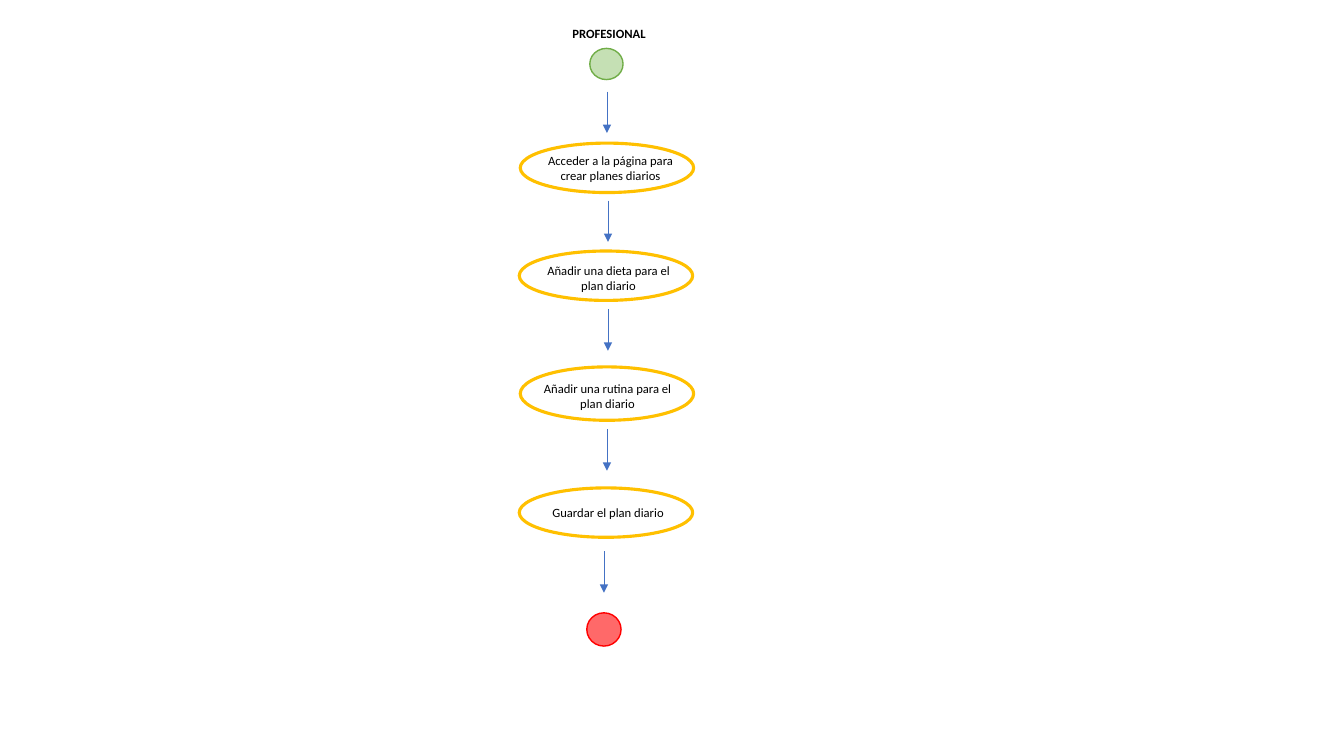
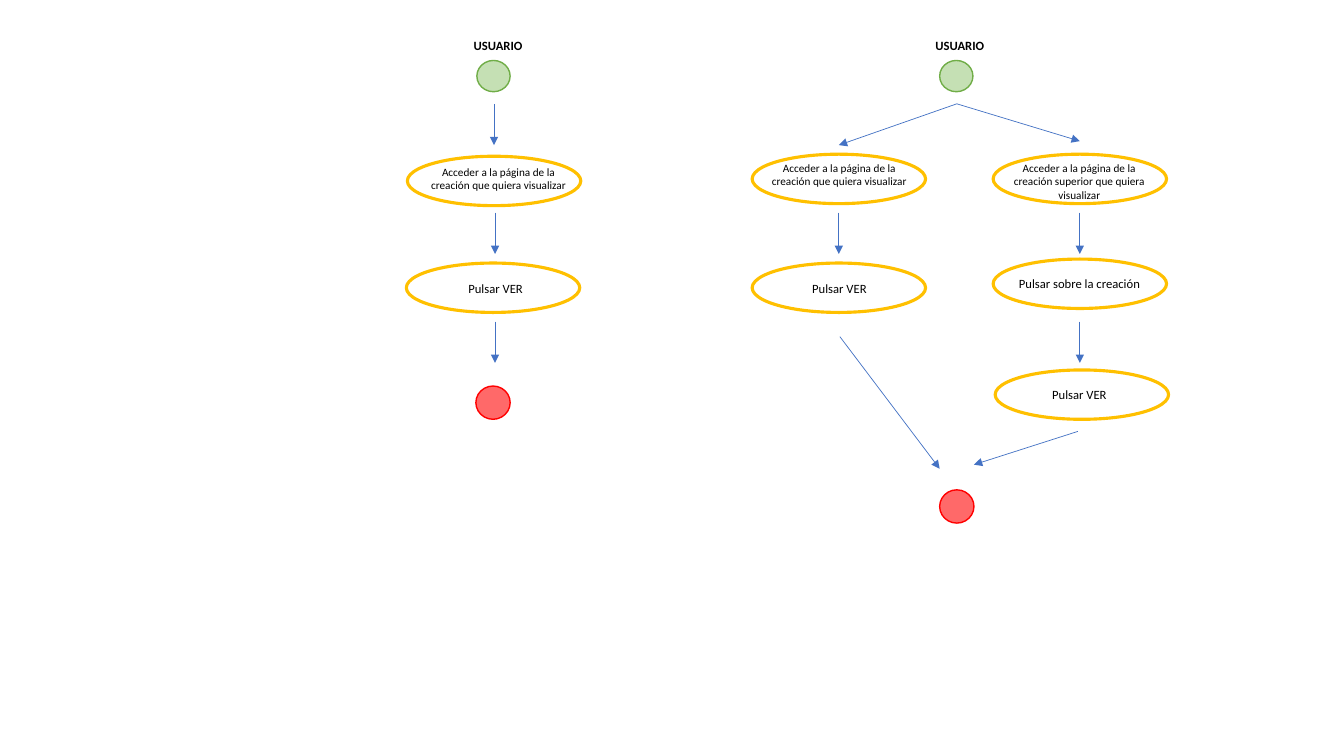
from dataclasses import dataclass

from lxml import etree
from pptx import Presentation
from pptx.dml.color import RGBColor
from pptx.enum.shapes import MSO_CONNECTOR, MSO_SHAPE
from pptx.enum.text import MSO_AUTO_SIZE, PP_ALIGN
from pptx.oxml.ns import qn
from pptx.util import Inches, Pt

STRAIGHT = MSO_CONNECTOR.STRAIGHT
OVAL = MSO_SHAPE.OVAL
GROW = MSO_AUTO_SIZE.SHAPE_TO_FIT_TEXT
LEFT, CENTER = PP_ALIGN.LEFT, PP_ALIGN.CENTER

BLACK = RGBColor(0x00, 0x00, 0x00)
GOLD = RGBColor(0xFF, 0xC0, 0x00)
BLUE = RGBColor(0x44, 0x72, 0xC4)
GREEN = RGBColor(0x70, 0xAD, 0x47)
PALE_GREEN = RGBColor(0xC5, 0xE0, 0xB4)
RED = RGBColor(0xFF, 0x00, 0x00)
PALE_RED = RGBColor(0xFF, 0x69, 0x69)

FONT = "Calibri"
STEP_WIDTH, STEP_HEIGHT = 1.72, 0.49
LABEL_WIDTH = 1.61
HEADING_WIDTH = 1.23
ARROW_LENGTH = 0.41
START_TOP = 0.27


@dataclass
class Step:
    label: str
    left: float
    top: float
    label_left: float
    label_top: float
    lines: int = 1
    size: int = 9
    height: float = STEP_HEIGHT
    label_width: float = LABEL_WIDTH


def add_oval(shapes, left, top, width, height, line, weight, fill=None):
    oval = shapes.add_shape(OVAL, Inches(left), Inches(top), Inches(width), Inches(height))
    oval.shadow.inherit = False
    if fill is None:
        oval.fill.background()
    else:
        oval.fill.solid()
        oval.fill.fore_color.rgb = fill
    oval.line.color.rgb = line
    oval.line.width = Pt(weight)


def add_label(shapes, text, left, top, width, lines=1, size=9, bold=False, align=CENTER):
    height = 0.1 + lines * size * 1.22 / 72
    box = shapes.add_textbox(Inches(left), Inches(top), Inches(width), Inches(height))
    frame = box.text_frame
    frame.word_wrap = True
    frame.auto_size = GROW
    paragraph = frame.paragraphs[0]
    paragraph.alignment = align
    run = paragraph.add_run()
    run.text = text
    run.font.color.rgb = BLACK
    for name, value in {"name": FONT, "size": Pt(size), "bold": bold}.items():
        setattr(run.font, name, value)


def add_arrow(shapes, x1, y1, x2, y2):
    arrow = shapes.add_connector(STRAIGHT, Inches(x1), Inches(y1), Inches(x2), Inches(y2))
    arrow.line.color.rgb = BLUE
    arrow.line.width = Pt(0.5)
    properties = arrow._element.spPr
    etree.SubElement(properties.find(qn("a:ln")), qn("a:tailEnd"), type="triangle")
    etree.SubElement(properties, qn("a:effectLst"))


def add_step(shapes, left, top, step):
    step_left, step_top = left + step.left, top + step.top
    add_oval(shapes, step_left, step_top, STEP_WIDTH, step.height, GOLD, 2.25)
    add_label(shapes, step.label, step_left + step.label_left, step_top + step.label_top,
              step.label_width, step.lines, step.size)


def down(x, y):
    return x, y, x, y + ARROW_LENGTH


def add_flow(slide, left, top, heading, heading_left, start_left, steps, arrows, end):
    shapes = slide.shapes.add_group_shape().shapes
    add_label(shapes, heading, left + heading_left, top, HEADING_WIDTH, bold=True, align=LEFT)
    add_oval(shapes, left + start_left, top + START_TOP, 0.33, 0.31, GREEN, 1, PALE_GREEN)
    for step in steps:
        add_step(shapes, left, top, step)
    for x1, y1, x2, y2 in arrows:
        add_arrow(shapes, left + x1, top + y1, left + x2, top + y2)
    end_left, end_top = end
    add_oval(shapes, left + end_left, top + end_top, 0.34, 0.33, RED, 1, PALE_RED)


def add_plan_slide(slide):
    steps = [
        Step("Acceder a la página para crear planes diarios", 0.01, 1.21, 0.09, 0.05, lines=2),
        Step("Añadir una dieta para el plan diario", 0, 2.28, 0.08, 0.07, lines=2),
        Step("Añadir una rutina para el plan diario", 0.01, 3.43, 0.06, 0.09, lines=2, height=0.53),
        Step("Guardar el plan diario", 0, 4.63, 0.02, 0.12, label_width=STEP_WIDTH),
    ]
    arrows = FIRST_ARROWS + [down(0.87, 4.05), down(0.84, 5.26)]
    add_flow(slide, 5.15, 0.21, "PROFESIONAL", 0.43, 0.7, steps, arrows, (0.67, 5.87))


def add_view_slide(slide):
    direct_steps = [
        Step(OPEN_PAGE, 0.01, 1.22, 0.1, 0.04, lines=2, size=8),
        Step(PRESS_VIEW, 0, 2.28, 0.08, 0.13),
    ]
    add_flow(slide, 4.03, 0.33, "USUARIO", 0.57, 0.7, direct_steps, FIRST_ARROWS, (0.69, 3.5))

    branch_steps = [
        Step(OPEN_PAGE, 0, 1.2, 0.06, 0.02, lines=2, size=8),
        Step(PRESS_VIEW, 0, 2.28, 0.06, 0.13),
        Step("Acceder a la página de la creación superior que quiera visualizar",
             2.39, 1.2, 0.05, 0.02, lines=3, size=8),
        Step("Pulsar sobre la creación", 2.39, 2.24, 0.05, 0.12),
        Step(PRESS_VIEW, 2.41, 3.34, 0.03, 0.12),
    ]
    branch_arrows = [
        (2.03, 0.7, 0.86, 1.11),
        (2.03, 0.7, 3.25, 1.07),
        down(0.86, 1.78),
        down(3.25, 1.78),
        down(3.25, 2.86),
        (0.87, 3.01, 1.86, 4.32),
        (3.23, 3.95, 2.2, 4.28),
    ]
    add_flow(slide, 7.46, 0.33, "USUARIO", 1.72, 1.86, branch_steps, branch_arrows, (1.86, 4.53))


OPEN_PAGE = "Acceder a la página de la creación que quiera visualizar"
PRESS_VIEW = "Pulsar VER"
FIRST_ARROWS = [down(0.87, 0.7), down(0.88, 1.78), down(0.88, 2.86)]

deck = Presentation()
deck.slide_width, deck.slide_height = Inches(13.33), Inches(7.5)
blank_layout = deck.slide_layouts[6]
for build in (add_plan_slide, add_view_slide):
    build(deck.slides.add_slide(blank_layout))
deck.save("out.pptx")
